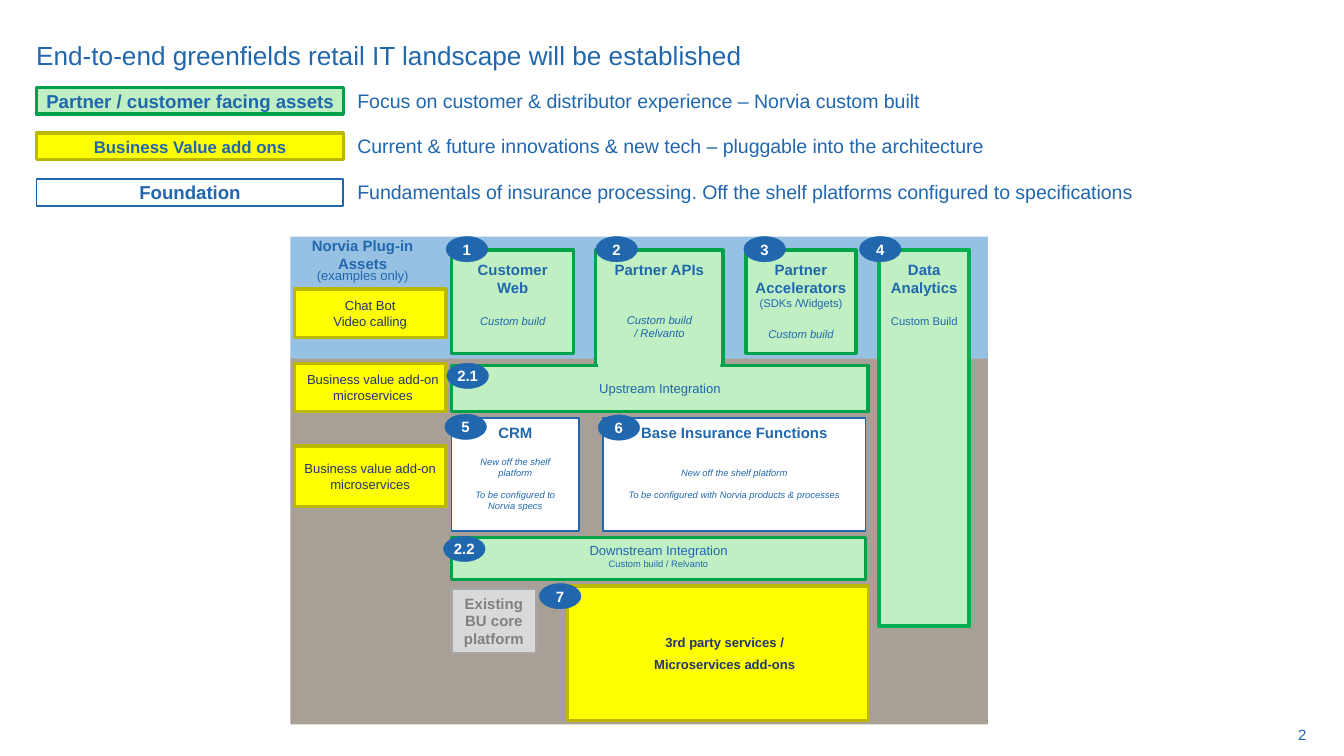
from dataclasses import dataclass

from pptx import Presentation
from pptx.dml.color import RGBColor
from pptx.enum.shapes import MSO_SHAPE
from pptx.enum.text import MSO_ANCHOR, MSO_AUTO_SIZE, PP_ALIGN
from pptx.util import Pt

RECTANGLE, OVAL = MSO_SHAPE.RECTANGLE, MSO_SHAPE.OVAL
TOP, MIDDLE = MSO_ANCHOR.TOP, MSO_ANCHOR.MIDDLE
LEFT, CENTER, RIGHT = PP_ALIGN.LEFT, PP_ALIGN.CENTER, PP_ALIGN.RIGHT

BLUE = RGBColor(0x21, 0x67, 0xAE)
NAVY = RGBColor(0x23, 0x36, 0x6E)
SKY = RGBColor(0x97, 0xC1, 0xE3)
STONE = RGBColor(0xA8, 0x9F, 0x96)
WHITE = RGBColor(0xFF, 0xFF, 0xFF)
MINT = RGBColor(0xBF, 0xEF, 0xC2)
GREEN = RGBColor(0x00, 0xA2, 0x49)
BRIGHT_GREEN = RGBColor(0x00, 0xB0, 0x50)
YELLOW = RGBColor(0xFF, 0xFF, 0x00)
OLIVE = RGBColor(0xBC, 0xB8, 0x00)
LIGHT_GREY = RGBColor(0xD9, 0xD9, 0xD9)
MID_GREY = RGBColor(0xA6, 0xA6, 0xA6)
DARK_GREY = RGBColor(0x80, 0x80, 0x80)


@dataclass(frozen=True)
class Style:
    fill: RGBColor
    line: RGBColor | None = None
    weight: float = 0


@dataclass(frozen=True)
class Line:
    text: str
    size: float
    bold: bool = False
    italic: bool = False
    color: RGBColor = BLUE
    before: float = 0
    after: float = 0
    spacing: float | None = None  # fixed line height in points


@dataclass(frozen=True)
class Box:
    left: float
    top: float
    width: float
    height: float
    style: Style
    lines: tuple[Line, ...] = ()
    insets: tuple[float, float, float, float] = (2.9, 2.9, 2.9, 2.9)
    anchor: MSO_ANCHOR = MIDDLE


FACING = Style(MINT, GREEN, 1.75)
ANALYTICS = Style(MINT, BRIGHT_GREEN, 2.25)
ADD_ON = Style(YELLOW, OLIVE, 1.75)
FOUNDATION = Style(WHITE, BLUE, 1)
EXISTING = Style(LIGHT_GREY, MID_GREY, 1.25)
BADGE = Style(BLUE, BLUE, 0.23)

WIDE = (5.8, 2.9, 5.8, 2.9)
CHANNEL = (2.9, 5.8, 2.9, 2.9)
SNUG = (2.9, 0, 2.9, 0)
NO_INSETS = (0, 0, 0, 0)


def heading(text: str) -> Line:
    return Line(text, 8, bold=True)


def build_note(text: str, before: float = 0) -> Line:
    return Line(text, 6, italic=True, before=before)


def platform_note(text: str, before: float) -> Line:
    return Line(text, 5, italic=True, before=before)


def add_on_text(text: str) -> Line:
    return Line(text, 7, color=NAVY)


MICROSERVICES = (add_on_text("Business value add-on microservices"),)
THIRD_PARTY = tuple(Line(text, 7, bold=True, color=NAVY, after=3)
                    for text in ("3rd party services /", "Microservices add-ons"))

# Landscape boxes, back to front
BOXES = (
    Box(155.5, 191.5, 373.7, 196.6, Style(STONE)),
    Box(155.5, 126.7, 373.7, 65.5, Style(SKY)),
    Box(323.2, 224, 140.5, 60.5, FOUNDATION, (
        heading("Base Insurance Functions"),
        platform_note("New off the shelf platform", 13.8),
        platform_note("To be configured with Norvia products & processes", 5.8)), WIDE, TOP),
    Box(241.9, 288, 221.8, 22.4, FACING, (
        Line("Downstream Integration", 7), Line("Custom build / Relvanto", 5)), WIDE, TOP),
    Box(471, 134, 48.3, 201.6, ANALYTICS, (
        heading("Data Analytics"), Line("Custom Build", 6, before=9.2)),
        (5.8, 5.8, 5.8, 2.9), TOP),
    Box(241.9, 134, 65.5, 55.6, FACING, (
        heading("Customer"), heading("Web"), build_note("Custom build", 9.2)), CHANNEL, TOP),
    Box(399.6, 134, 59, 55.3, FACING, (
        heading("Partner Accelerators"), Line("(SDKs /Widgets)", 6),
        build_note("Custom build", 9.2)), CHANNEL, TOP),
    Box(319.2, 134, 68.2, 62.6, FACING, (
        heading("Partner APIs"), build_note("Custom build", 18.4),
        build_note("/ Relvanto")), CHANNEL, TOP),
    Box(241.9, 196, 223.2, 24.5, FACING, (Line("Upstream Integration", 7),), WIDE),
    Box(304, 314, 161.2, 71.9, ADD_ON, THIRD_PARTY, (10.1, 2.9, 2.9, 2.9)),
    # Opens the Partner APIs box into Upstream Integration
    Box(320.4, 190.8, 65.5, 7.9, Style(MINT)),
    Box(157.6, 194.6, 81.4, 25.9, ADD_ON, MICROSERVICES, (2.9, 2.9, 0, 2.9)),
    Box(241.9, 224, 68.4, 60.5, FOUNDATION, (
        heading("CRM"), platform_note("New off the shelf platform", 8),
        platform_note("To be configured to Norvia specs", 5.8)), WIDE, TOP),
    Box(157.6, 239, 81.4, 32.4, ADD_ON, MICROSERVICES),
    Box(241.9, 315.4, 45.4, 34.6, EXISTING, (
        Line("Existing BU core platform", 8, bold=True, color=DARK_GREY),), WIDE, TOP),
    Box(157.6, 154.8, 81.4, 25.9, ADD_ON, (
        add_on_text("Chat Bot"), add_on_text("Video calling"))),
)

# Number, left, top
BADGES = (
    ("1", 239, 126.7), ("2", 319.2, 126.7), ("3", 398.5, 126.7), ("4", 460.4, 126.7),
    ("2.1", 239.4, 194.6), ("5", 238.3, 221.9), ("6", 320.4, 222.3),
    ("2.2", 237.6, 287.3), ("7", 288.9, 312.6),
)

# Label, label size, style, insets, description, description width
LEGEND = (
    ("Partner / customer facing assets", 10, FACING, (2.9, 2.9, 2.9, 2.9),
     "Focus on customer & distributor experience – Norvia custom built", 311.8),
    ("Business Value add ons", 9, ADD_ON, (2.9, 2.9, 2.9, 2.9),
     "Current & future innovations & new tech – pluggable into the architecture", 347.8),
    ("Foundation", 10, FOUNDATION, WIDE,
     "Fundamentals of insurance processing. Off the shelf platforms configured to specifications",
     427),
)
LEGEND_TOP, LEGEND_PITCH = 46.8, 24.5


def write(frame, lines: tuple[Line, ...], insets, anchor=TOP, align=CENTER, wrap=True) -> None:
    frame.word_wrap = wrap
    frame.auto_size = MSO_AUTO_SIZE.NONE
    frame.vertical_anchor = anchor
    (frame.margin_left, frame.margin_top,
     frame.margin_right, frame.margin_bottom) = (Pt(inset) for inset in insets)
    for index, line in enumerate(lines):
        para = frame.add_paragraph() if index else frame.paragraphs[0]
        para.text = line.text
        para.alignment = align
        para.space_before, para.space_after = Pt(line.before), Pt(line.after)
        if line.spacing:
            para.line_spacing = Pt(line.spacing)
        font = para.font
        font.name, font.size = "Arial", Pt(line.size)
        font.bold, font.italic = line.bold, line.italic
        font.color.rgb = line.color


def draw_box(slide, box: Box, kind=RECTANGLE) -> None:
    shape = slide.shapes.add_shape(
        kind, Pt(box.left), Pt(box.top), Pt(box.width), Pt(box.height))
    shape.shadow.inherit = False
    shape.fill.solid()
    shape.fill.fore_color.rgb = box.style.fill
    if box.style.line is None:
        shape.line.fill.background()
    else:
        shape.line.color.rgb = box.style.line
        shape.line.width = Pt(box.style.weight)
    if box.lines:
        write(shape.text_frame, box.lines, box.insets, box.anchor)


def draw_text(slide, left: float, top: float, width: float, height: float,
              lines: tuple[Line, ...], insets=SNUG, align=LEFT, wrap=True) -> None:
    label = slide.shapes.add_textbox(Pt(left), Pt(top), Pt(width), Pt(height))
    write(label.text_frame, lines, insets, align=align, wrap=wrap)


def main() -> None:
    deck = Presentation()
    deck.slide_width, deck.slide_height = Pt(720), Pt(405)
    slide = deck.slides.add_slide(deck.slide_layouts[5])

    # Title
    title = slide.shapes.title
    title.left, title.top, title.width, title.height = Pt(19.4), Pt(19.4), Pt(625.7), Pt(23)
    write(title.text_frame, (Line("End-to-end greenfields retail IT landscape will be established",
                                  14),), (0, 3.6, 7.2, 3.6), align=LEFT)
    title.text_frame.paragraphs[0].line_spacing = 0.9

    # Landscape
    for box in BOXES:
        draw_box(slide, box)
    draw_text(slide, 157.6, 126.7, 73.4, 25.2, (
        heading("Norvia Plug-in Assets"), Line("(examples only)", 7, spacing=6)), align=CENTER)
    for number, left, top in BADGES:
        draw_box(slide, Box(left, top, 22.3, 13.6, BADGE, (
            Line(number, 8, bold=True, color=WHITE),), (0, 2.9, 0, 2.9)), OVAL)

    # Legend
    for row, (name, size, style, insets, description, width) in enumerate(LEGEND):
        top = LEGEND_TOP + row * LEGEND_PITCH
        draw_box(slide, Box(19.6, top, 164.4, 14.4, style, (Line(name, size, bold=True),), insets))
        draw_text(slide, 188.6, top + 0.7, width, 13, (Line(description, 10.5),), wrap=False)

    # Page number
    draw_text(slide, 611.3, 388.8, 88.6, 11.5, (Line("2", 8),), NO_INSETS, RIGHT)
    deck.save("out.pptx")


if __name__ == "__main__":
    main()
